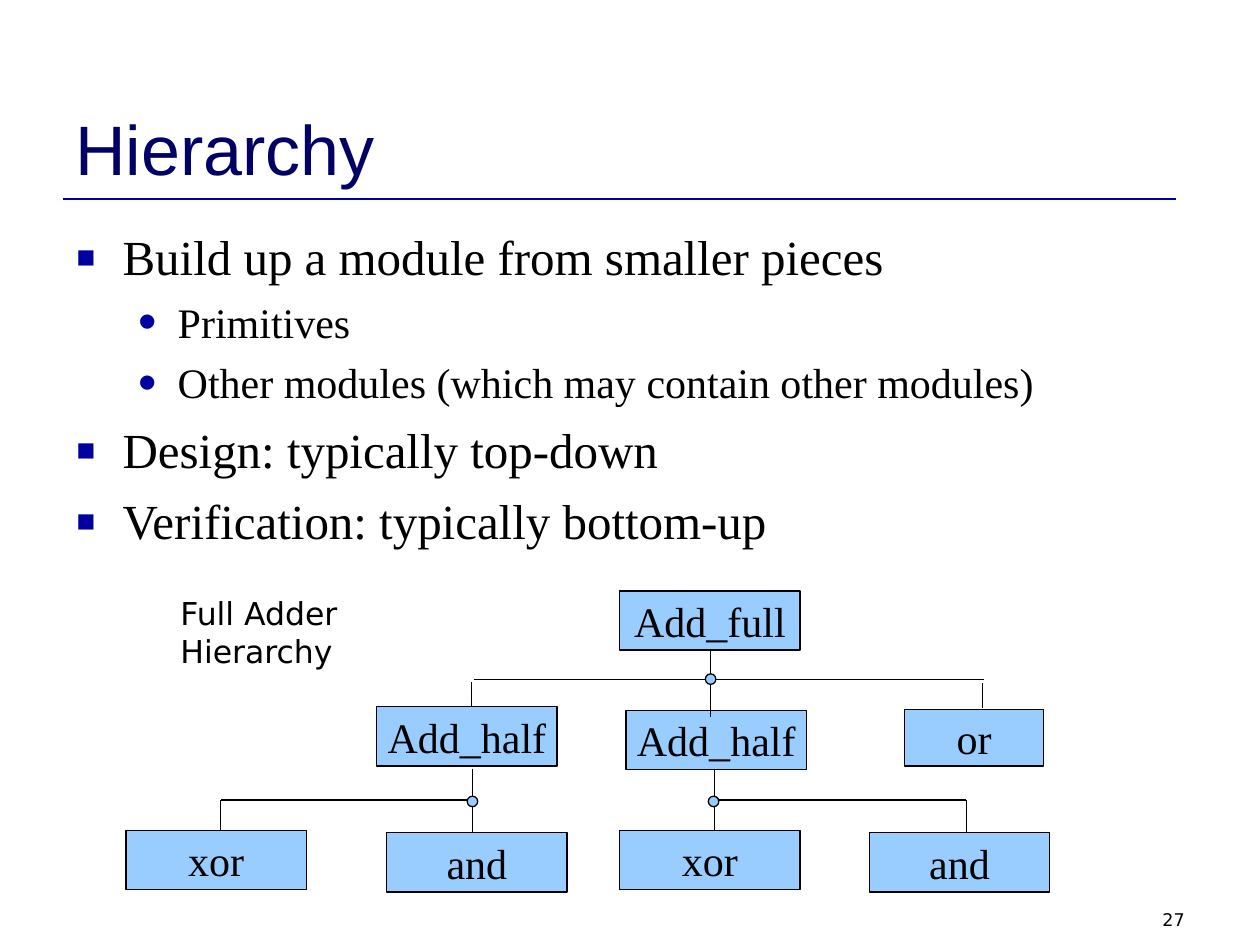
from lxml.etree import SubElement
from pptx import Presentation
from pptx.dml.color import RGBColor
from pptx.enum.shapes import MSO_CONNECTOR, MSO_SHAPE
from pptx.enum.text import MSO_ANCHOR, PP_ALIGN
from pptx.oxml.ns import qn
from pptx.util import Pt

BLACK = RGBColor(0x00, 0x00, 0x00)
NAVY = RGBColor(0x00, 0x00, 0x66)
BLUE = RGBColor(0x00, 0x00, 0xA0)
LIGHT_BLUE = RGBColor(0x99, 0xCC, 0xFF)
SERIF = "Times New Roman"


def write(frame, text, size=24, font=SERIF, color=BLACK, align=PP_ALIGN.LEFT,
          anchor=MSO_ANCHOR.TOP, wrap=True, bullet=None, margin=0, hanging=0,
          before=0, new=False):
    frame.word_wrap = wrap
    frame.vertical_anchor = anchor
    paragraph = frame.add_paragraph() if new else frame.paragraphs[0]
    if bullet:
        props = paragraph._p.get_or_add_pPr()
        props.set("marL", str(Pt(margin)))
        props.set("indent", str(-Pt(hanging)))
        bullet_color = SubElement(props, qn("a:buClr"))
        SubElement(bullet_color, qn("a:srgbClr"), val=str(BLUE))
        SubElement(props, qn("a:buSzPct"), val="125000")
        SubElement(props, qn("a:buFont"), typeface="Arial")
        SubElement(props, qn("a:buChar"), char=bullet)
    paragraph.alignment = align
    paragraph.space_before = Pt(before)
    run = paragraph.add_run()
    run.text = text
    run.font.size = Pt(size)
    run.font.name = font
    run.font.color.rgb = color


def connect(x1, y1, x2, y2, color=BLACK, width=0.75):
    line = slide.shapes.add_connector(
        MSO_CONNECTOR.STRAIGHT, Pt(x1), Pt(y1), Pt(x2), Pt(y2))
    line.line.color.rgb = color
    line.line.width = Pt(width)
    SubElement(line._element.spPr, qn("a:effectLst"))


presentation = Presentation()
presentation.slide_width = Pt(720)
presentation.slide_height = Pt(540)
slide = presentation.slides.add_slide(presentation.slide_layouts[6])

connect(36, 113.8, 672, 113.8, color=BLUE, width=1.5)

page_number = slide.shapes.add_textbox(Pt(516), Pt(516), Pt(168), Pt(18))
write(page_number.text_frame, "27", size=10, font="DejaVu Sans", align=PP_ALIGN.RIGHT)

title = slide.shapes.add_textbox(Pt(36), Pt(21.6), Pt(648), Pt(90))
write(title.text_frame, "Hierarchy", size=40, font="Arial", color=NAVY,
      anchor=MSO_ANCHOR.BOTTOM)

points = slide.shapes.add_textbox(Pt(36), Pt(126), Pt(648), Pt(390))
main_point = dict(size=28, bullet="▪", margin=27, hanging=27, before=7)
sub_point = dict(size=24, bullet="•", margin=58.5, hanging=22.5, before=6)
write(points.text_frame, "Build up a module from smaller pieces",
      **{**main_point, "before": 0})
for text, level in (
    ("Primitives", sub_point),
    ("Other modules (which may contain other modules)", sub_point),
    ("Design: typically top-down", main_point),
    ("Verification: typically bottom-up", main_point),
):
    write(points.text_frame, text, new=True, **level)

modules = [
    ("Add_full", 354.2, 337.7, 103, 33.8),
    ("Add_half", 357.8, 406.1, 103, 33.8),
    ("or", 517, 405.4, 79.2, 32.4),
    ("Add_half", 215.3, 403.9, 103, 33.8),
]
gates = [
    ("and", 496.8, 475.9, 103, 33.8),
    ("xor", 354.2, 474.5, 103, 33.8),
    ("and", 221, 475.9, 103, 33.8),
    ("xor", 72, 474.5, 103, 33.8),
]
module_wires = [
    (406.1, 371.5, 406.1, 409.7),
    (269.3, 403.9, 269.3, 389.5),
    (561.6, 404.6, 561.6, 390.2),
    (270.7, 388.1, 562.3, 388.1),
]
gate_wires = []
for trunk, outer in ((408.2, 552.2), (270, 126)):
    gate_wires += [
        (trunk, 439.2, trunk, 475.2),
        (outer, 481.7, outer, 457.2),
        (trunk, 457.2, outer, 457.2),
    ]
junctions = [(406.1, 388.1), (407.8, 458), (270, 458)]

for boxes, wires in ((modules, module_wires + gate_wires), (gates, [])):
    for name, left, top, width, height in boxes:
        box = slide.shapes.add_shape(
            MSO_SHAPE.RECTANGLE, Pt(left), Pt(top), Pt(width), Pt(height))
        box.shadow.inherit = False
        box.fill.solid()
        box.fill.fore_color.rgb = LIGHT_BLUE
        box.line.color.rgb = BLACK
        box.line.width = Pt(0.75)
        write(box.text_frame, name, align=PP_ALIGN.CENTER,
              anchor=MSO_ANCHOR.MIDDLE, wrap=False)
    for wire in wires:
        connect(*wire)

for x, y in junctions:
    junction = slide.shapes.add_shape(
        MSO_SHAPE.OVAL, Pt(x - 3), Pt(y - 3), Pt(6), Pt(6))
    junction.shadow.inherit = False
    junction.fill.solid()
    junction.fill.fore_color.rgb = LIGHT_BLUE
    junction.line.color.rgb = BLACK
    junction.line.width = Pt(0.75)

caption = slide.shapes.add_textbox(Pt(96), Pt(336.2), Pt(186.5), Pt(28.8))
write(caption.text_frame, "Full Adder Hierarchy", size=18, font="DejaVu Sans")

presentation.save("out.pptx")
